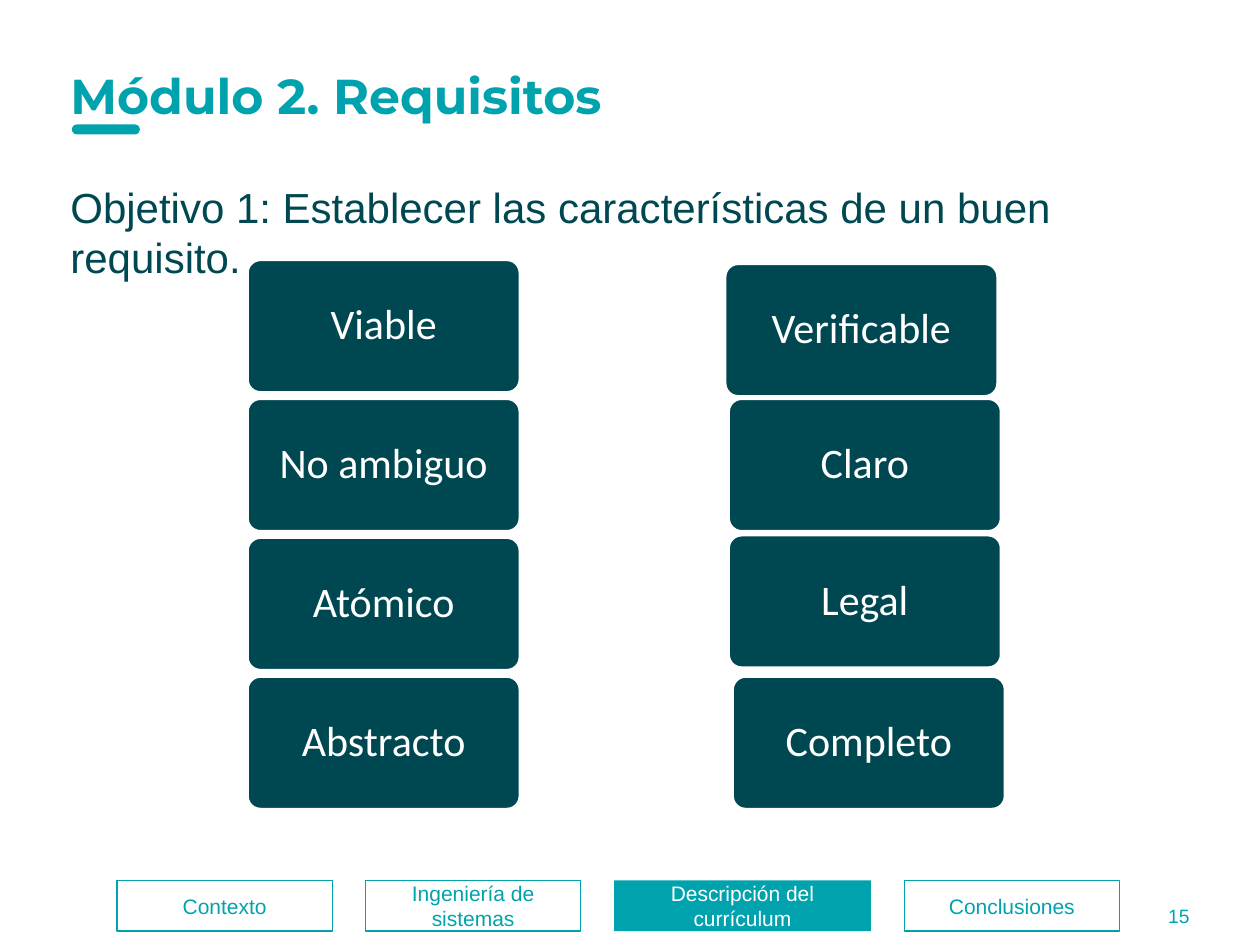
from pptx import Presentation
from pptx.dml.color import RGBColor
from pptx.enum.shapes import MSO_SHAPE as Shape
from pptx.enum.text import MSO_ANCHOR as Anchor, PP_ALIGN as Align
from pptx.util import Cm, Pt

TEAL = RGBColor(0x00, 0xA3, 0xAD)
DARK = RGBColor(0x00, 0x48, 0x51)
WHITE = RGBColor(0xFF, 0xFF, 0xFF)

# Each trait: label, then its small shift from the grid (cm)
LEFT = [("Viable", 0, 0), ("No ambiguo", 0, 0),
        ("Atómico", 0, 0), ("Abstracto", 0, 0)]
RIGHT = [("Verificable", -0.07, 0.08), ("Claro", 0, 0),
         ("Legal", 0, -0.05), ("Completo", 0.08, 0)]
TABS = [("Contexto", 4.34), ("Ingeniería de sistemas", 4.34),
        ("Descripción del currículum", 5.18), ("Conclusiones", 4.34)]
ACTIVE = 2


def write(shape, text, size=12, color=TEAL, font="Arial", bold=False,
          align=Align.LEFT, anchor=Anchor.MIDDLE, inset=None, spacing=None):
    frame = shape.text_frame
    frame.word_wrap = True
    frame.vertical_anchor = anchor
    if inset is not None:
        frame.margin_left = frame.margin_right = Cm(inset)
        frame.margin_top = frame.margin_bottom = Cm(inset)
    para = frame.paragraphs[0]
    para.alignment = align
    if spacing:
        para.line_spacing = spacing
    run = para.add_run()
    run.text = text
    run.font.name = font
    run.font.size = Pt(size)
    run.font.bold = bold
    run.font.color.rgb = color


def label(slide, box, text, **style):
    write(slide.shapes.add_textbox(*map(Cm, box)), text, **style)


def block(slide, kind, box, fill=None, line=None, width=0.75):
    shape = slide.shapes.add_shape(kind, *map(Cm, box))
    shape.shadow.inherit = False
    if fill is None:
        shape.fill.background()
    else:
        shape.fill.solid()
        shape.fill.fore_color.rgb = fill
    if line is None:
        shape.line.fill.background()
    else:
        shape.line.color.rgb = line
        shape.line.width = Pt(width)
    return shape


def header(slide, x, y, w):
    bar = block(slide, Shape.ROUNDED_RECTANGLE,
                (x + 0.28, y + 1.19, 1.37, 0.2), fill=TEAL)
    bar.adjustments[0] = 0.5
    label(slide, (x, y, w, 1.19), "Módulo 2. Requisitos",
          size=28, font="Montserrat", bold=True)


def column(slide, x, y, traits):
    """Stack one column of trait cards from its top left corner."""
    for row, (text, dx, dy) in enumerate(traits):
        card = block(slide, Shape.ROUNDED_RECTANGLE,
                     (x + dx, y + row * 2.8 + dy, 5.51, 2.69),
                     fill=DARK, line=WHITE, width=2)
        card.adjustments[0] = 0.1
        write(card, text, size=24, color=WHITE, font="Calibri",
              align=Align.CENTER, inset=0.1, spacing=0.9)


def footer(slide, x, y, h, gap=0.67):
    for i, (text, w) in enumerate(TABS):
        on = i == ACTIVE
        tab = block(slide, Shape.RECTANGLE, (x, y, w, h),
                    fill=TEAL if on else None, line=None if on else TEAL)
        write(tab, text, color=WHITE if on else TEAL, align=Align.CENTER)
        x += w + gap


def main():
    deck = Presentation()
    deck.slide_width, deck.slide_height = Cm(25.4), Cm(19.05)
    slide = deck.slides.add_slide(deck.slide_layouts[6])
    header(slide, 1.17, 1.32, 21.29)
    label(slide, (1.17, 3.53, 23.06, 13.36),
          "Objetivo 1: Establecer las características de un buen requisito.",
          size=24, color=DARK, anchor=Anchor.TOP)
    column(slide, 4.98, 5.23, LEFT)
    column(slide, 14.68, 5.23, RIGHT)
    label(slide, (21.13, 17.96, 3.1, 1.02), "15", size=11, align=Align.RIGHT)
    footer(slide, 2.36, 17.75, 1.02)
    deck.save("out.pptx")


if __name__ == "__main__":
    main()
